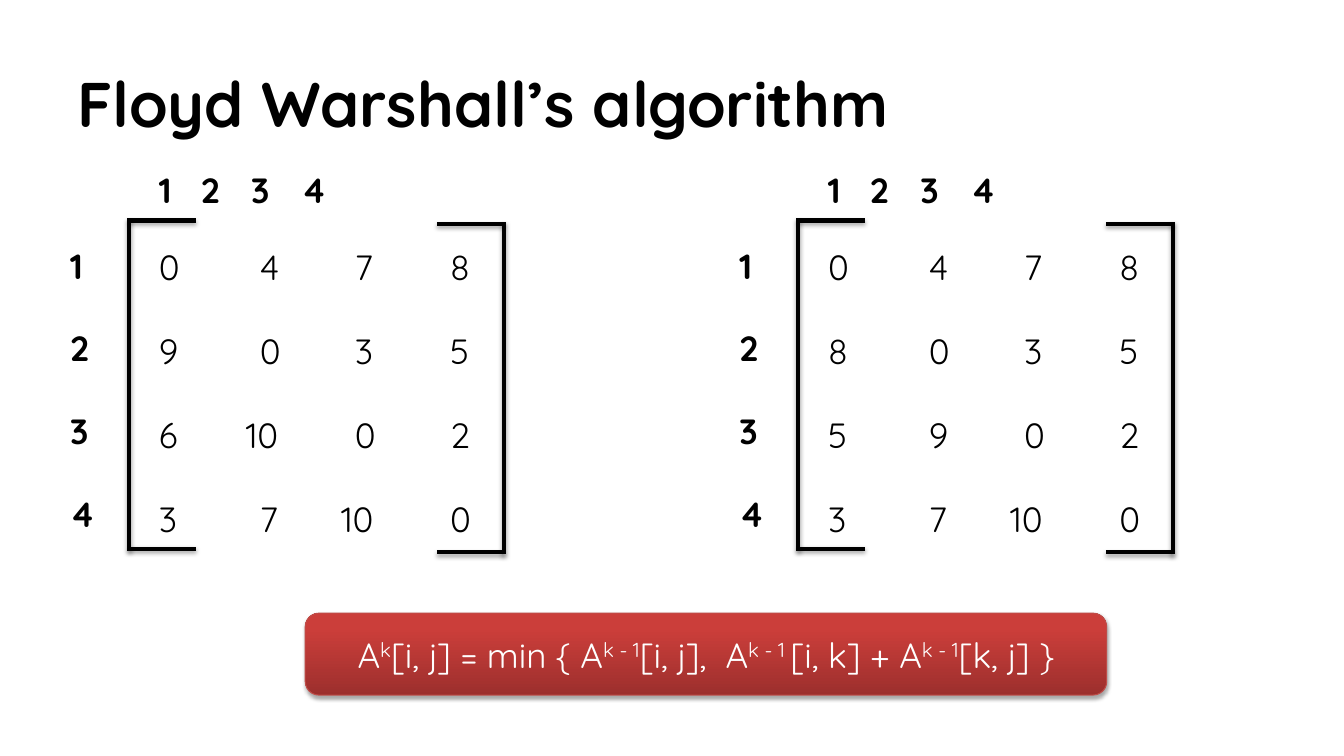
from dataclasses import dataclass

from lxml.etree import SubElement
from pptx import Presentation
from pptx.dml.color import RGBColor as RGB
from pptx.enum.shapes import MSO_CONNECTOR as CONN, MSO_SHAPE as SHAPE
from pptx.enum.text import MSO_ANCHOR as ANCHOR, MSO_AUTO_SIZE as FIT, PP_ALIGN as ALIGN
from pptx.oxml.ns import qn
from pptx.util import Pt


@dataclass(frozen=True)
class Theme:
    font: str = "Quicksand"
    ink: str = "000000"
    paper: str = "FFFFFF"
    red_dark: str = "9C2F2D"
    red: str = "CB3E3A"
    red_edge: str = "BF4C48"
    title: float = 45
    body: float = 25


class MatrixSlide:
    columns = (0, 72, 140, 208)
    header_tabs = (78, 144, 216)
    row_step = 60

    def __init__(self, prs, theme):
        self.theme = theme
        self.slide = prs.slides.add_slide(prs.slide_layouts[5])
        self.shapes = self.slide.shapes

    def format(self, tf, size, color, bold=False):
        for p in tf.paragraphs:
            for r in p.runs:
                r.font.name = self.theme.font
                r.font.size = Pt(size)
                r.font.bold = bold
                r.font.color.rgb = RGB.from_string(color)

    def cast_shadow(self, sp):
        effects = SubElement(sp.element.spPr, qn("a:effectLst"))
        shadow = SubElement(effects, qn("a:outerShdw"), blurRad=str(Pt(3.1)),
                            dist=str(Pt(1.8)), dir="5400000", rotWithShape="0")
        black = SubElement(shadow, qn("a:srgbClr"), val=self.theme.ink)
        SubElement(black, qn("a:alpha"), val="35000")

    def title(self, text, x, y, w, h):
        sp = self.shapes.title
        sp.left, sp.top, sp.width, sp.height = Pt(x), Pt(y), Pt(w), Pt(h)
        tf = sp.text_frame
        tf.text = text
        tf.auto_size = FIT.NONE
        tf.vertical_anchor = ANCHOR.MIDDLE
        tf.paragraphs[0].alignment = ALIGN.LEFT
        self.format(tf, self.theme.title, self.theme.ink, True)

    def text(self, text, x, y, w, h, bold=False):
        tf = self.shapes.add_textbox(Pt(x), Pt(y), Pt(w), Pt(h)).text_frame
        tf.word_wrap = True
        tf.text = text
        self.format(tf, self.theme.body, self.theme.ink, bold)
        return tf

    def column_labels(self, text, x, y):
        tf = self.text(text, x, y, 262, 70, True)
        tf.margin_left = tf.margin_right = Pt(9.4)
        tf.margin_top = tf.margin_bottom = Pt(5)
        pPr = tf.paragraphs[0]._p.get_or_add_pPr()
        pPr.set("marL", "0")
        pPr.set("indent", str(Pt(6)))
        tabs = SubElement(pPr, qn("a:tabLst"))
        for stop in self.header_tabs:
            SubElement(tabs, qn("a:tab"), pos=str(Pt(stop)), algn="l")

    def row_labels(self, text, x, y):
        tf = self.text(text, x, y, 45, 220, True)
        for p in tf.paragraphs[1:]:
            p.space_before = Pt(self.row_step - 31)

    def bracket(self, x, top, bottom, arm):
        group = self.shapes.add_group_shape()
        for x1, y1, x2, y2 in ((x, bottom + 1.5, x, top - 1.5),
                               (x + arm, top, x, top),
                               (x + arm, bottom, x, bottom)):
            sp = group.shapes.add_connector(CONN.STRAIGHT, Pt(x1), Pt(y1), Pt(x2), Pt(y2))
            sp.line.color.rgb = RGB.from_string(self.theme.ink)
            sp.line.width = Pt(3)
            self.cast_shadow(sp)

    def matrix(self, rows, x, y):
        names = [str(n + 1) for n in range(len(rows))]
        self.column_labels("\t".join(names), x - 8.5, y - 56)
        self.row_labels("\n".join(names), x - 63.5, y - 0.5)
        self.bracket(x - 14.5, y - 14, y + 220.5, 48)
        self.bracket(x + 253.5, y - 11.5, y + 223, -48)
        for i, row in enumerate(rows):
            for dx, value in zip(self.columns, row):
                shift, w = (10, 48) if value > 9 else (0, 31)
                self.text(str(value), x + dx - shift, y + i * self.row_step, w, 37.5)

    def formula(self, parts, x, y, w, h):
        sp = self.shapes.add_shape(SHAPE.ROUNDED_RECTANGLE, Pt(x), Pt(y), Pt(w), Pt(h))
        sp.fill.gradient()
        sp.fill.gradient_angle = 90
        colors = ((0, self.theme.red_dark), (0.8, self.theme.red))
        for stop, (position, color) in zip(sp.fill.gradient_stops, colors):
            stop.position = position
            stop.color.rgb = RGB.from_string(color)
        sp.line.color.rgb = RGB.from_string(self.theme.red_edge)
        sp.line.width = Pt(0.75)
        self.cast_shadow(sp)
        tf = sp.text_frame
        tf.vertical_anchor = ANCHOR.MIDDLE
        p = tf.paragraphs[0]
        p.alignment = ALIGN.CENTER
        for i, part in enumerate(parts):
            r = p.add_run()
            r.text = part
            if i % 2:
                r._r.get_or_add_rPr().set("baseline", "30000")
        self.format(tf, self.theme.body, self.theme.paper)


def main():
    prs = Presentation()
    prs.slide_width, prs.slide_height = Pt(960), Pt(540)
    s = MatrixSlide(prs, Theme())
    s.title("Floyd Warshall’s algorithm", 48, 42, 877, 62)
    before = ((0, 4, 7, 8), (9, 0, 3, 5), (6, 10, 0, 2), (3, 7, 10, 0))
    after = ((0, 4, 7, 8), (8, 0, 3, 5), (5, 9, 0, 2), (3, 7, 10, 0))
    for i, rows in enumerate((before, after)):
        s.matrix(rows, 106.5 + 478 * i, 171.5)
    s.formula(("A", "k", "[i, j] = min { A", "k - 1", "[i, j],  A", "k - 1 ",
               "[i, k] + A", "k - 1", "[k, j] }"), 218, 438, 572.5, 58.5)
    prs.save("out.pptx")


if __name__ == "__main__":
    main()
